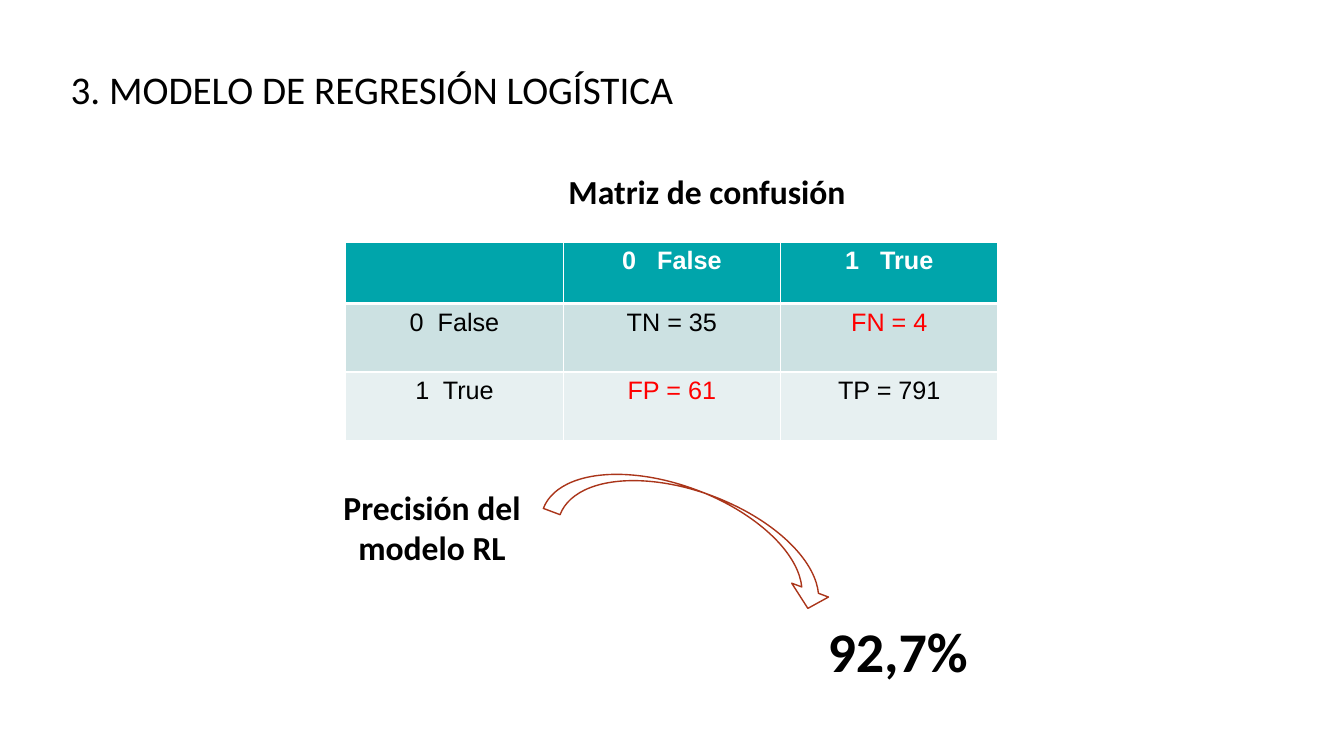
from lxml.etree import SubElement
from pptx import Presentation
from pptx.dml.color import RGBColor
from pptx.enum.shapes import MSO_SHAPE
from pptx.enum.text import MSO_ANCHOR, MSO_AUTO_SIZE, PP_ALIGN
from pptx.oxml.ns import qn
from pptx.util import Pt

COLORS = {
    "text": "000000",
    "white": "FFFFFF",
    "header": "00A5AB",
    "band_dark": "CCE1E2",
    "band_light": "E7F0F1",
    "error": "FF0000",
    "arrow": "AA351A",
}
MATRIX = [
    ["", "0   False", "1   True"],
    ["0  False", "TN = 35", "FN = 4"],
    ["1  True", "FP = 61", "TP = 791"],
]
ROW_FILLS = ["header", "band_dark", "band_light"]
ROW_HEIGHTS = [44, 49, 49]
COLUMN_WIDTH = 155.3


def rgb(name):
    """Return the named colour."""
    return RGBColor.from_string(COLORS[name])


def format_paragraph(paragraph, font_name, size, color="text", bold=False,
                     alignment=PP_ALIGN.CENTER):
    """Set the alignment and font of a paragraph."""
    paragraph.alignment = alignment
    font = paragraph.font
    font.name, font.size, font.bold = font_name, Pt(size), bold
    font.color.rgb = rgb(color)


def set_title(slide, text, left, top, width, height):
    """Fill and place the title placeholder."""
    title = slide.shapes.title
    title.left, title.top, title.width, title.height = map(
        Pt, (left, top, width, height))
    frame = title.text_frame
    frame.text = text
    frame.vertical_anchor = MSO_ANCHOR.TOP
    frame.auto_size = MSO_AUTO_SIZE.NONE
    format_paragraph(frame.paragraphs[0], "Calibri", 28, alignment=PP_ALIGN.LEFT)


def add_label(slide, text, left, top, width, height, size=24,
              alignment=PP_ALIGN.CENTER):
    """Add a bold wrapped text box."""
    label = slide.shapes.add_textbox(*map(Pt, (left, top, width, height)))
    frame = label.text_frame
    frame.word_wrap = True
    frame.text = text
    format_paragraph(frame.paragraphs[0], "Calibri", size, bold=True,
                     alignment=alignment)


def set_borders(cell, bottom_width, top_width):
    """Draw white borders around a cell."""
    properties = cell._tc.get_or_add_tcPr()
    widths = {"a:lnL": 1, "a:lnR": 1, "a:lnT": top_width, "a:lnB": bottom_width}
    for position, (tag, width) in enumerate(widths.items()):
        line = SubElement(properties, qn(tag), w=str(Pt(width)))
        properties.insert(position, line)
        fill = SubElement(line, qn("a:solidFill"))
        SubElement(fill, qn("a:srgbClr"), val=COLORS["white"])


def add_confusion_matrix(slide, left, top):
    """Add the confusion matrix, with the wrong predictions in red."""
    column_count = len(MATRIX[0])
    table = slide.shapes.add_table(
        len(MATRIX), column_count, Pt(left), Pt(top),
        Pt(COLUMN_WIDTH * column_count), Pt(sum(ROW_HEIGHTS))).table
    for column in table.columns:
        column.width = Pt(COLUMN_WIDTH)
    for row_index, texts in enumerate(MATRIX):
        table.rows[row_index].height = Pt(ROW_HEIGHTS[row_index])
        is_header = row_index == 0
        for column_index, text in enumerate(texts):
            cell = table.cell(row_index, column_index)
            cell.text = text
            cell.fill.solid()
            cell.fill.fore_color.rgb = rgb(ROW_FILLS[row_index])
            is_error = text.startswith(("FN", "FP"))
            color = "white" if is_header else "error" if is_error else "text"
            format_paragraph(cell.text_frame.paragraphs[0], "Arial", 18,
                             color, bold=is_header)
            set_borders(cell, bottom_width=3 if is_header else 1,
                        top_width=3 if row_index == 1 else 1)


def add_curved_arrow(slide, left, top, width, height, rotation):
    """Add the outlined arrow that leads to the precision value."""
    arrow = slide.shapes.add_shape(
        MSO_SHAPE.CURVED_DOWN_ARROW, *map(Pt, (left, top, width, height)))
    arrow.adjustments[1] = 0.55
    arrow.rotation = rotation
    arrow.shadow.inherit = False
    arrow.fill.background()
    arrow.line.color.rgb = rgb("arrow")
    arrow.line.width = Pt(1)


def main():
    """Build and save the slide."""
    presentation = Presentation()
    presentation.slide_width, presentation.slide_height = Pt(960), Pt(540)
    slide = presentation.slides.add_slide(presentation.slide_layouts[5])
    set_title(slide, "3. MODELO DE REGRESIÓN LOGÍSTICA", 43.2, 43.2, 466, 41)
    add_label(slide, "Precisión del modelo RL", 237.6, 344.2, 142, 65.5)
    add_curved_arrow(slide, 390.2, 352, 216, 51, 20.7)
    add_confusion_matrix(slide, 247, 172.8)
    add_label(slide, "Matriz de confusión", 399, 118.8, 219, 36,
              alignment=PP_ALIGN.LEFT)
    add_label(slide, "92,7%", 581.8, 437, 118.8, 55.4, size=40)
    presentation.save("out.pptx")


main()
